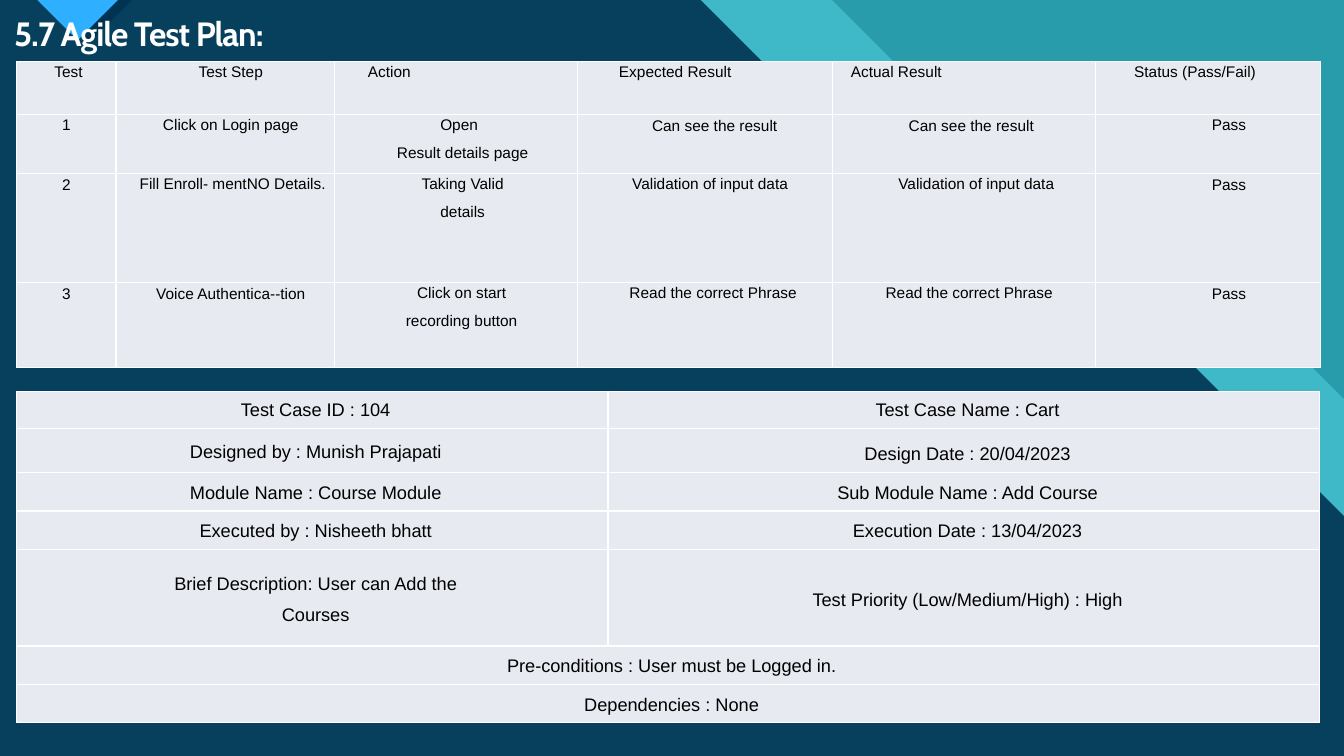
import lxml.etree
import pptx
import pptx.dml.color
import pptx.enum.text
import pptx.oxml.ns
import pptx.util

Inches = pptx.util.Inches
Pt = pptx.util.Pt
RGBColor = pptx.dml.color.RGBColor
ALIGN = pptx.enum.text.PP_ALIGN
ANCHOR = pptx.enum.text.MSO_ANCHOR
qn = pptx.oxml.ns.qn

AQUA = RGBColor(0x47, 0xC3, 0xD3)
TEAL = RGBColor(0x29, 0x9C, 0xAB)
NAVY = RGBColor(0x00, 0x33, 0x52)
BLUE = RGBColor(0x2F, 0xAF, 0xFF)
WHITE = RGBColor(0xFF, 0xFF, 0xFF)
BLACK = RGBColor(0x00, 0x00, 0x00)
CELL_GRAY = RGBColor(0xE7, 0xEA, 0xF0)

WIDTH, HEIGHT = 13.33, 7.5
TABLE_LEFT = 0.16


def line(text, **text_format):
    """One paragraph of a table cell with its format."""
    return text, text_format


PLAN_COLUMNS = [0.99, 2.17, 2.41, 2.53, 2.61, 2.23]
PLAN_ROWS = [0.53, 0.58, 1.08, 0.85]
PLAN = [
    [[line("Test", margin=0.05)],
     [line("Test Step", margin=0.11)],
     [line("Action", margin=0.27, align=ALIGN.LEFT)],
     [line("Expected Result", margin=0.46, indent=-0.11, align=ALIGN.LEFT)],
     [line("Actual Result", margin=0.12, align=ALIGN.LEFT)],
     [line("Status (Pass/Fail)", margin=0.12, indent=0.2, align=ALIGN.LEFT)]],
    [[line("1", margin=0.01, spacing=1.12)],
     [line("Click on Login page", margin=0.11, spacing=1.12)],
     [line("Open", margin=0.06, spacing=1.12),
      line("Result details page", margin=0.13)],
     [line("Can see the result", margin=0.19)],
     [line("Can see the result", margin=0.14)],
     [line("Pass", margin=0.41, spacing=1.12)]],
    [[line("2", margin=0.01, spacing=1.21)],
     [line("Fill Enroll- mentNO Details.", margin=0.28, indent=-0.13)],
     [line("Taking Valid", margin=0.13),
      line("details", margin=0.13, spacing=1.12)],
     [line("Validation of input data", margin=0.58, indent=-0.48)],
     [line("Validation of input data", margin=0.32, indent=-0.08)],
     [line("Pass", margin=0.41, spacing=1.21)]],
    [[line("3", margin=0.01, spacing=1.2)],
     [line("Voice Authentica--tion", margin=0.11, spacing=1.2)],
     [line("Click on start", margin=0.31, indent=-0.2),
      line("recording button", margin=0.31, indent=-0.2)],
     [line("Read the correct Phrase", margin=0.16)],
     [line("Read the correct Phrase", margin=0.1)],
     [line("Pass", margin=0.41, spacing=1.2)]],
]

CASE_COLUMNS = [5.87, 7.06]
CASE_ROWS = [0.37, 0.44, 0.38, 0.38, 0.96, 0.38, 0.38]
CASE = [
    [[line("Test Case ID : 104", spacing=1.08)],
     [line("Test Case Name : Cart", spacing=1.08)]],
    [[line("Designed by : Munish Prajapati", spacing=1.21)],
     [line("Design Date : 20/04/2023", spacing=1.34)]],
    [[line("Module Name : Course Module", spacing=1.13)],
     [line("Sub Module Name : Add Course", spacing=1.13)]],
    [[line("Executed by : Nisheeth bhatt", spacing=1.13)],
     [line("Execution Date : 13/04/2023", spacing=1.13)]],
    [[line("Brief Description: User can Add the", spacing=1.21),
      line("Courses", spacing=1.13)],
     [line("Test Priority (Low/Medium/High) : High", spacing=1.21)]],
    [[line("Pre-conditions : User must be Logged in.", spacing=1.12)]],
    [[line("Dependencies : None", spacing=1.13)]],
]


def write_paragraph(paragraph, text, size=11, font="Arial", color=BLACK, bold=False,
                    align=ALIGN.CENTER, margin=0.07, indent=0, spacing=1.14,
                    after=6, tracking=0):
    properties = paragraph._p.get_or_add_pPr()
    properties.set("marL", str(Inches(margin)))
    properties.set("indent", str(Inches(indent)))
    paragraph.alignment = align
    paragraph.line_spacing = spacing
    paragraph.space_before = Pt(0)
    paragraph.space_after = Pt(after)
    run = paragraph.add_run()
    run.text = text
    run.font.size = Pt(size)
    run.font.name = font
    run.font.bold = bold
    run.font.color.rgb = color
    if tracking:
        run._r.get_or_add_rPr().set("spc", str(round(tracking * 100)))


def paint(shape, color, opacity=100):
    shape.shadow.inherit = False
    shape.fill.solid()
    shape.fill.fore_color.rgb = color
    shape.line.fill.background()
    if opacity < 100:
        color_element = shape._element.spPr.find(qn("a:solidFill"))[0]
        alpha = lxml.etree.SubElement(color_element, qn("a:alpha"))
        alpha.set("val", str(opacity * 1000))


def add_polygon(slide, points, color, opacity=100):
    corners = [(Inches(x), Inches(y)) for x, y in points]
    builder = slide.shapes.build_freeform(*corners[0])
    builder.add_line_segments(corners[1:], close=True)
    paint(builder.convert_to_shape(), color, opacity)


def add_background(slide):
    slide.background.fill.solid()
    slide.background.fill.fore_color.rgb = AQUA
    bottom = [(WIDTH, HEIGHT), (0, HEIGHT)]
    add_polygon(slide, [(0, 0), (WIDTH, 0)] + bottom, TEAL)
    add_polygon(slide, [(0, 0), (8.25, 0), (11.22, 2.97), (12.34, 2.97),
                        (WIDTH, 3.96)] + bottom, AQUA, 74)
    add_polygon(slide, [(0, 0), (6.95, 0), (9.92, 2.97), (11.18, 2.97),
                        (WIDTH, 5.12)] + bottom, NAVY, 90)
    add_polygon(slide, [(0.48, 0), (1.31, 0), (0.9, 0.41)], NAVY)
    add_polygon(slide, [(0.37, 0), (1.17, 0), (0.77, 0.4)], BLUE)


def add_title(slide, text):
    title = slide.shapes.title
    title.left, title.top = Inches(0.04), Inches(0.12)
    title.width, title.height = Inches(12.26), Inches(0.46)
    frame = title.text_frame
    frame.word_wrap = True
    frame.vertical_anchor = ANCHOR.MIDDLE
    write_paragraph(frame.paragraphs[0], text, size=24, font="Cabin", color=WHITE,
                    bold=True, align=ALIGN.LEFT, margin=0, spacing=0.9, after=0,
                    tracking=-0.7)
    # Bring the title in front of the background shapes
    title._element.getparent().append(title._element)


def format_cell(cell, anchor, inset):
    cell.vertical_anchor = anchor
    cell.margin_left = cell.margin_right = Inches(inset)
    cell.margin_top = cell.margin_bottom = 0
    properties = cell._tc.get_or_add_tcPr()
    for side in ("a:lnL", "a:lnR", "a:lnT", "a:lnB"):
        border = lxml.etree.SubElement(properties, qn(side), w=str(Pt(1)))
        fill = lxml.etree.SubElement(border, qn("a:solidFill"))
        lxml.etree.SubElement(fill, qn("a:srgbClr"), val=str(WHITE))
    cell.fill.solid()
    cell.fill.fore_color.rgb = CELL_GRAY


def add_table(slide, top, columns, rows, content, size, anchor, inset):
    """Add a table; a row with a single entry spans all columns."""
    table = slide.shapes.add_table(
        len(rows), len(columns), Inches(TABLE_LEFT), Inches(top),
        Inches(sum(columns)), Inches(sum(rows))).table
    table.first_row = table.horz_banding = False
    for column, width in zip(table.columns, columns):
        column.width = Inches(width)
    for row, height, entries in zip(table.rows, rows, content):
        row.height = Inches(height)
        for cell in row.cells:
            format_cell(cell, anchor, inset)
        if len(entries) == 1:
            row.cells[0].merge(row.cells[len(columns) - 1])
        for cell, lines in zip(row.cells, entries):
            frame = cell.text_frame
            for index, (text, text_format) in enumerate(lines):
                paragraph = frame.add_paragraph() if index else frame.paragraphs[0]
                write_paragraph(paragraph, text, size=size, **text_format)


def main():
    presentation = pptx.Presentation()
    presentation.slide_width = Inches(WIDTH)
    presentation.slide_height = Inches(HEIGHT)
    slide = presentation.slides.add_slide(presentation.slide_layouts[5])
    add_background(slide)
    add_title(slide, "5.7 Agile Test Plan:")
    add_table(slide, 0.61, PLAN_COLUMNS, PLAN_ROWS, PLAN, 11, ANCHOR.TOP, 0.06)
    add_table(slide, 3.88, CASE_COLUMNS, CASE_ROWS, CASE, 13, ANCHOR.MIDDLE, 0.07)
    presentation.save("out.pptx")


if __name__ == "__main__":
    main()
